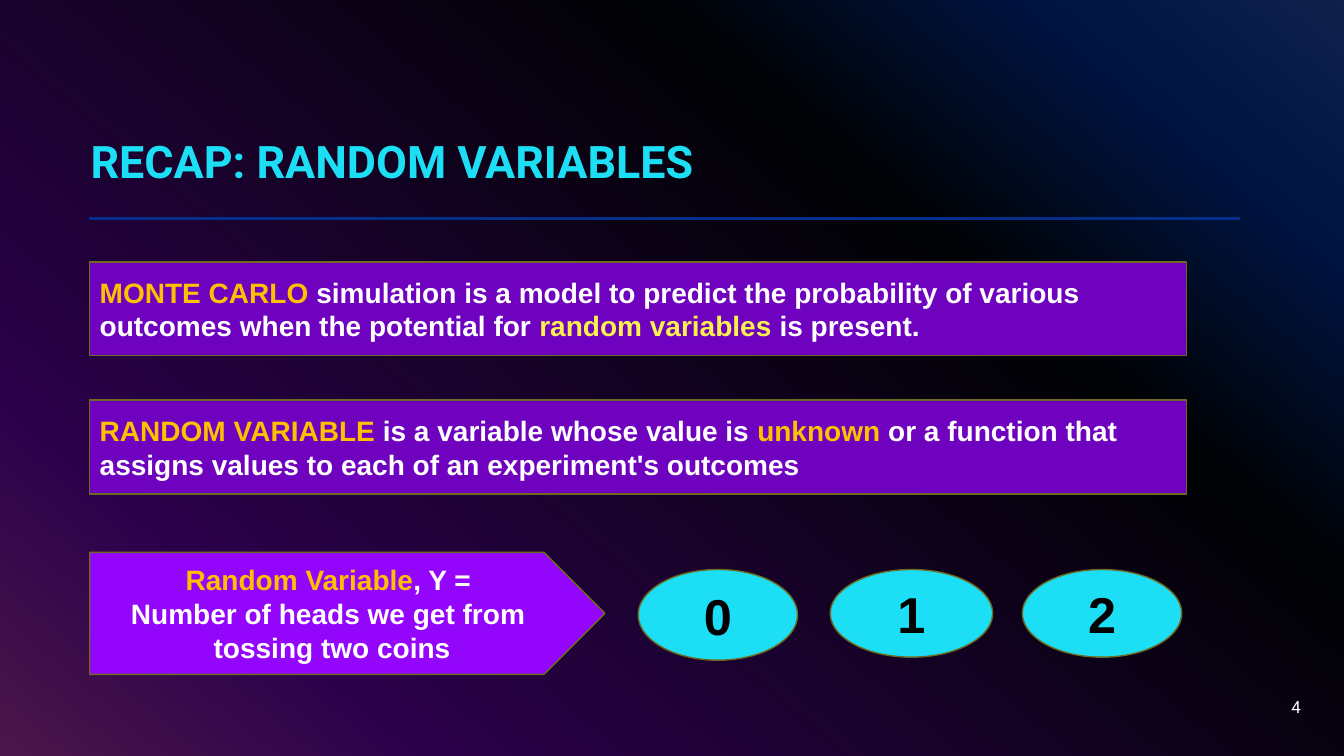
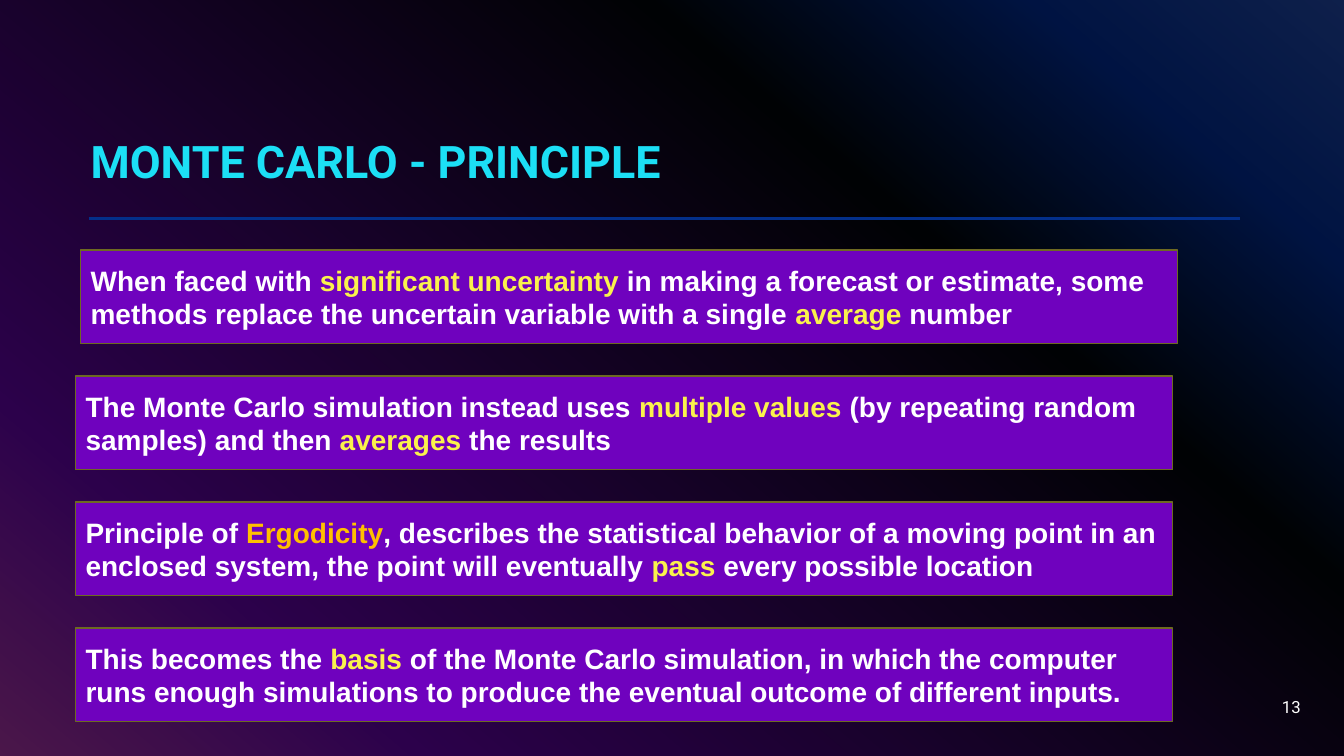
import lxml.etree
import pptx
import pptx.dml.color
import pptx.enum.shapes
import pptx.enum.text
import pptx.oxml.ns
import pptx.util

Inches = pptx.util.Inches
SHAPE = pptx.enum.shapes.MSO_SHAPE
ALIGN = pptx.enum.text.PP_ALIGN
ANCHOR = pptx.enum.text.MSO_ANCHOR
qn = pptx.oxml.ns.qn

COLOURS = {
    "black": "000000", "white": "FFFFFF", "cyan": "1CDFF5",
    "gold": "FFC000", "yellow": "FAF24C", "card": "6F02BE",
    "violet": "9405FC", "border": "6E6A21", "rule": "032F8A",
}
BACKGROUND_STOPS = [(0, "316CFC"), (14, "0343DF"), (31, "02090E"),
                    (81, "9405FC"), (100, "FC4EFB")]
SLIDE_WIDTH, SLIDE_HEIGHT = 13.33, 7.5
CARD_WIDTH, CARD_HEIGHT = 10.88, 0.93


def rgb(name):
    return pptx.dml.color.RGBColor.from_string(COLOURS[name])


def write_text(shape, paragraphs, size, font="Arial", bold=True,
               align=ALIGN.LEFT, anchor=ANCHOR.MIDDLE, line_spacing=None):
    """Fill a shape with paragraphs, each a list of (text, colour name) runs."""
    frame = shape.text_frame
    frame.word_wrap = True
    frame.vertical_anchor = anchor
    for index, runs in enumerate(paragraphs):
        paragraph = frame.add_paragraph() if index else frame.paragraphs[0]
        paragraph.alignment = align
        if line_spacing:
            paragraph.line_spacing = line_spacing
        for text, colour in runs:
            run = paragraph.add_run()
            run.text = text
            run.font.name = font
            run.font.size = pptx.util.Pt(size)
            run.font.bold = bold
            run.font.color.rgb = rgb(colour)


def add_filled_shape(slide, kind, box, fill, border="border"):
    shape = slide.shapes.add_shape(kind, *map(Inches, box))
    shape.shadow.inherit = False
    shape.fill.solid()
    shape.fill.fore_color.rgb = rgb(fill)
    if border:
        shape.line.color.rgb = rgb(border)
        shape.line.width = pptx.util.Pt(1)
    else:
        shape.line.fill.background()
    return shape


def set_master_background(presentation):
    fill = presentation.slide_master.background.fill
    fill.gradient()
    fill.gradient_angle = 230
    background = presentation.slide_master.element.cSld.find(qn("p:bg"))
    background.find(".//" + qn("a:lin")).set("scaled", "0")
    stop_list = background.find(".//" + qn("a:gsLst"))
    for stop in list(stop_list):
        stop_list.remove(stop)
    for position, colour in BACKGROUND_STOPS:
        stop = lxml.etree.SubElement(stop_list, qn("a:gs"), pos=str(position * 1000))
        lxml.etree.SubElement(stop, qn("a:srgbClr"), val=colour)


def add_base_slide(presentation, title, number):
    """Add a slide with the dark veil, title, rule and slide number."""
    slide = presentation.slides.add_slide(presentation.slide_layouts[6])
    veil = add_filled_shape(slide, SHAPE.RECTANGLE,
                            (0, 0, SLIDE_WIDTH, SLIDE_HEIGHT), "black", None)
    veil_colour = veil.fill._xPr.find(".//" + qn("a:srgbClr"))
    lxml.etree.SubElement(veil_colour, qn("a:alpha"), val="70000")

    rule = slide.shapes.add_connector(
        pptx.enum.shapes.MSO_CONNECTOR.STRAIGHT,
        Inches(0.88), Inches(2.17), Inches(12.3), Inches(2.17))
    rule.line.color.rgb = rgb("rule")
    rule.line.width = pptx.util.Pt(2)
    lxml.etree.SubElement(rule.element.spPr, qn("a:effectLst"))

    title_box = slide.shapes.add_textbox(*map(Inches, (0.8, 0.47, 11.5, 1.45)))
    write_text(title_box, [[(title, "cyan")]], 32, "Roboto",
               anchor=ANCHOR.BOTTOM, line_spacing=0.9)
    number_box = slide.shapes.add_textbox(*map(Inches, (10, 6.81, 3, 0.4)))
    write_text(number_box, [[(str(number), "white")]], 12, "Roboto",
               bold=False, align=ALIGN.RIGHT)
    return slide


def add_card(slide, left, top, runs):
    card = add_filled_shape(slide, SHAPE.RECTANGLE,
                            (left, top, CARD_WIDTH, CARD_HEIGHT), "card")
    write_text(card, [runs], 20)


def add_coin_example(slide, left, top):
    """Place the arrow label and the ovals with its possible values."""
    label = add_filled_shape(slide, SHAPE.PENTAGON, (left, top, 5.11, 1.21), "violet")
    write_text(label, [
        [("Random Variable", "gold"), (", Y = ", "white")],
        [("Number of heads we get from ", "white")],
        [("tossing two coins", "white")],
    ], 20, align=ALIGN.CENTER)
    oval_sizes = [(1.58, 0.9), (1.61, 0.87), (1.58, 0.87)]
    for value, (width, height) in enumerate(oval_sizes):
        box = (left + 5.44 + 1.905 * value, top + 0.17, width, height)
        oval = add_filled_shape(slide, SHAPE.OVAL, box, "cyan")
        write_text(oval, [[(str(value), "black")]], 36, align=ALIGN.CENTER)


def build_recap_slide(presentation):
    slide = add_base_slide(presentation, "RECAP: RANDOM VARIABLES", 4)
    definitions = [
        [("MONTE CARLO", "gold"),
         (" simulation is a model to predict the probability of various "
          "outcomes when the potential for ", "white"),
         ("random variables", "yellow"), (" is present.", "white")],
        [("RANDOM VARIABLE", "gold"),
         (" is a variable whose value is ", "white"), ("unknown", "gold"),
         (" or a function that assigns values to each of an experiment's "
          "outcomes", "white")],
    ]
    for index, runs in enumerate(definitions):
        add_card(slide, 0.89, 2.6 + 1.37 * index, runs)
    add_coin_example(slide, 0.89, 5.48)


def build_principle_slide(presentation):
    slide = add_base_slide(presentation, "MONTE CARLO - PRINCIPLE", 13)
    principles = [
        [("When faced with ", "white"), ("significant uncertainty ", "yellow"),
         ("in making a forecast or estimate, some methods replace the "
          "uncertain variable with a single ", "white"),
         ("average", "yellow"), (" number", "white")],
        [("The Monte Carlo simulation instead uses ", "white"),
         ("multiple values", "yellow"),
         (" (by repeating random samples) and then ", "white"),
         ("averages", "yellow"), (" the results", "white")],
        [("Principle of ", "white"), ("Ergodicity", "gold"),
         (", describes the statistical behavior of a moving point in an "
          "enclosed system, the point will eventually ", "white"),
         ("pass", "yellow"), (" every possible location", "white")],
        [("This becomes the ", "white"), ("basis", "yellow"),
         (" of the Monte Carlo simulation, in which the computer runs enough "
          "simulations to produce the eventual outcome of different inputs.",
          "white")],
    ]
    for index, runs in enumerate(principles):
        add_card(slide, 0.75 if index else 0.8, 2.48 + 1.25 * index, runs)


def main():
    presentation = pptx.Presentation()
    presentation.slide_width = Inches(SLIDE_WIDTH)
    presentation.slide_height = Inches(SLIDE_HEIGHT)
    set_master_background(presentation)
    build_recap_slide(presentation)
    build_principle_slide(presentation)
    presentation.save("out.pptx")


if __name__ == "__main__":
    main()
